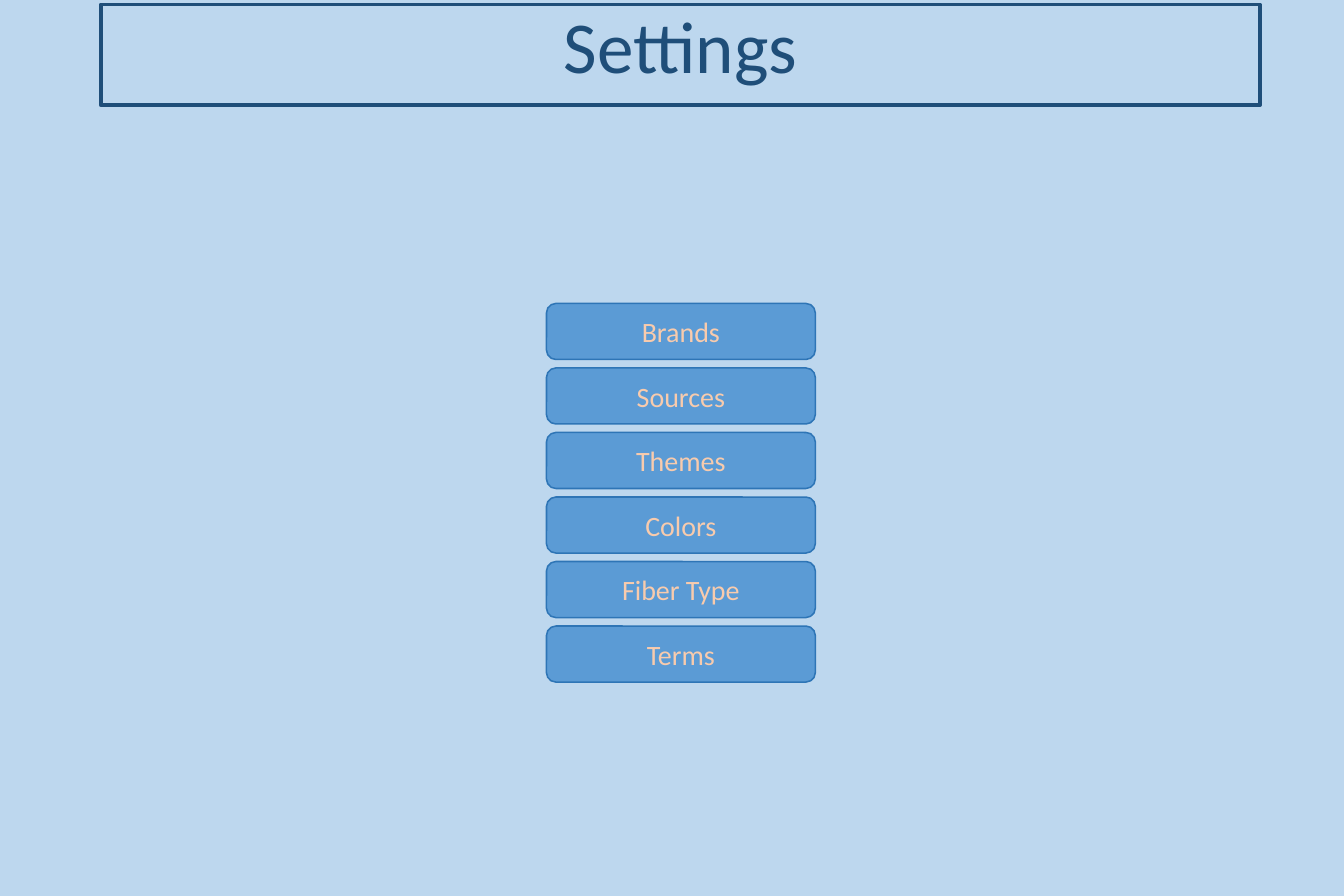
from dataclasses import dataclass

from pptx import Presentation
from pptx.dml.color import RGBColor
from pptx.enum.shapes import MSO_SHAPE
from pptx.enum.text import MSO_ANCHOR, PP_ALIGN
from pptx.shapes.autoshape import Shape
from pptx.slide import Slide
from pptx.util import Inches, Pt


@dataclass(frozen=True)
class Theme:
    """Hold the colours, font and type sizes."""

    background: str = "BDD7EE"
    title: str = "1F4E79"
    button: str = "5B9BD5"
    button_line: str = "2E75B6"
    button_text: str = "F8CBAD"
    font: str = "Calibri"
    title_size: float = 47
    button_size: float = 18


@dataclass(frozen=True)
class Box:
    """Give a rectangle in inches."""

    left: float
    top: float
    width: float
    height: float


THEME = Theme()
TITLE_BOX = Box(0.9, 0.04, 10.35, 0.9)
BUTTONS = ("Brands", "Sources", "Themes", "Colors", "Fiber Type", "Terms")
FIRST_TOP, LAST_TOP = 2.71, 5.59


def write(sp: Shape, text: str, *, size: float, color: str,
          anchor: MSO_ANCHOR = MSO_ANCHOR.MIDDLE, spacing: float = 1.0) -> None:
    """Put one centred paragraph into a shape."""
    tf = sp.text_frame
    tf.word_wrap = True
    tf.vertical_anchor = anchor
    p = tf.paragraphs[0]
    p.alignment = PP_ALIGN.CENTER
    p.line_spacing = spacing
    r = p.add_run()
    r.text = text
    r.font.name = THEME.font
    r.font.size = Pt(size)
    r.font.color.rgb = RGBColor.from_string(color)


def add_box(s: Slide, kind: MSO_SHAPE, box: Box, *, line: str, width: float,
            fill: str | None = None) -> Shape:
    """Draw an outlined shape, filled when a fill is given."""
    sp = s.shapes.add_shape(kind, Inches(box.left), Inches(box.top),
                            Inches(box.width), Inches(box.height))
    sp.shadow.inherit = False
    sp.line.color.rgb = RGBColor.from_string(line)
    sp.line.width = Pt(width)
    if fill:
        sp.fill.solid()
        sp.fill.fore_color.rgb = RGBColor.from_string(fill)
    else:
        sp.fill.background()
    return sp


def add_title(s: Slide) -> None:
    """Draw the framed slide title."""
    sp = add_box(s, MSO_SHAPE.RECTANGLE, TITLE_BOX, line=THEME.title, width=2.25)
    write(sp, "Settings", size=THEME.title_size, color=THEME.title,
          anchor=MSO_ANCHOR.TOP, spacing=0.9)


def add_buttons(s: Slide) -> None:
    """Stack the settings buttons at an equal pitch."""
    pitch = (LAST_TOP - FIRST_TOP) / (len(BUTTONS) - 1)
    for i, label in enumerate(BUTTONS):
        box = Box(4.88, FIRST_TOP + i * pitch, 2.4, 0.5)
        sp = add_box(s, MSO_SHAPE.ROUNDED_RECTANGLE, box,
                     line=THEME.button_line, width=1, fill=THEME.button)
        write(sp, label, size=THEME.button_size, color=THEME.button_text)


def main() -> None:
    """Build and save the settings slide."""
    prs = Presentation()
    prs.slide_width, prs.slide_height = Inches(12), Inches(8)
    s = prs.slides.add_slide(prs.slide_layouts[6])
    s.background.fill.solid()
    s.background.fill.fore_color.rgb = RGBColor.from_string(THEME.background)
    add_title(s)
    add_buttons(s)
    prs.save("out.pptx")


if __name__ == "__main__":
    main()
